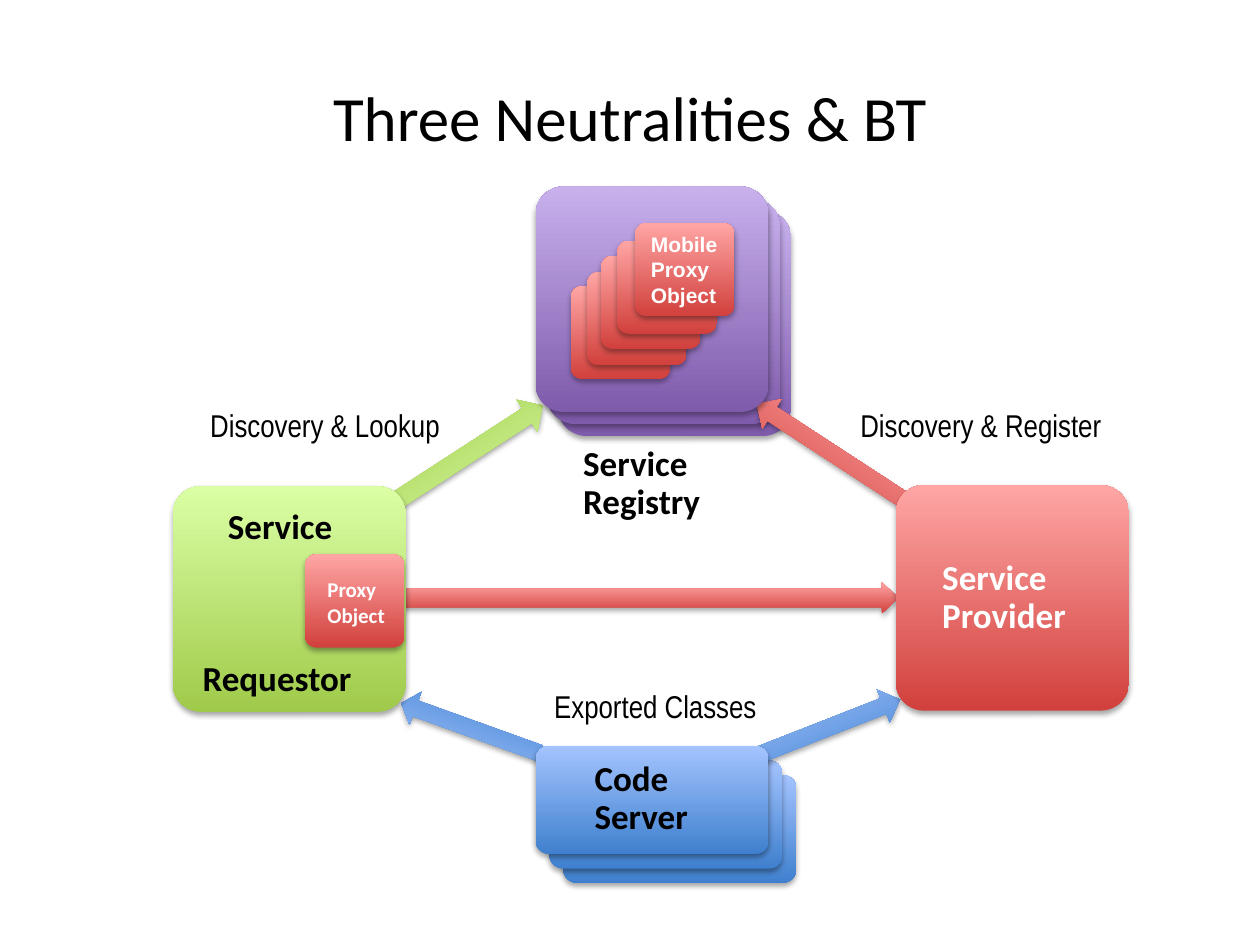
import pptx
import pptx.util
import pptx.dml.color
import pptx.enum.shapes
import pptx.enum.text
import pptx.oxml
import pptx.oxml.ns
from dataclasses import dataclass

Inches = pptx.util.Inches
SHAPES = pptx.enum.shapes.MSO_SHAPE
ANCHOR = pptx.enum.text.MSO_ANCHOR
ALIGN = pptx.enum.text.PP_ALIGN
AUTO_SIZE = pptx.enum.text.MSO_AUTO_SIZE


@dataclass(frozen=True)
class Theme:
    # Gradients run from the bottom colour to the top colour
    red: tuple = ("D1403C", "FFA6A5")
    purple: tuple = ("7F5BAB", "C8B0ED")
    blue: tuple = ("3F80CE", "A4C4FF")
    green: tuple = ("A0CA4A", "DAFFA5")
    black: str = "000000"
    white: str = "FFFFFF"
    body_font: str = "Calibri"
    label_font: str = "Arial Narrow"
    proxy_font: str = "Arial"
    title_size: int = 36
    node_size: int = 20
    label_size: int = 18
    proxy_size: int = 12


THEME = Theme()
NODE_SIZE = (1.85, 1.79)
SERVER_SIZE = (1.85, 0.86)
PROXY_SIZE = (0.79, 0.74)

SHADOW_XML = (
    '<a:effectLst %s><a:outerShdw blurRad="40000" dist="23000" dir="5400000" '
    'rotWithShape="0"><a:srgbClr val="000000"><a:alpha val="35000"/></a:srgbClr>'
    '</a:outerShdw></a:effectLst>' % pptx.oxml.ns.nsdecls("a")
)


def write_text(shape, lines, size=THEME.node_size, font=THEME.body_font,
               color=THEME.black, bold=False, align=ALIGN.LEFT,
               anchor=ANCHOR.TOP, wrap=False, spacing=None):
    """Fill a shape with one paragraph for each line."""
    frame = shape.text_frame
    frame.word_wrap = wrap
    frame.vertical_anchor = anchor
    for index, line in enumerate(lines):
        paragraph = frame.paragraphs[0] if index == 0 else frame.add_paragraph()
        paragraph.text = line
        paragraph.alignment = align
        if spacing:
            paragraph.line_spacing = spacing
        for run in paragraph.runs:
            run.font.size = pptx.util.Pt(size)
            run.font.name = font
            run.font.bold = bold
            run.font.color.rgb = pptx.dml.color.RGBColor.from_string(color)


def add_text(slide, box, lines, **text_format):
    shape = slide.shapes.add_textbox(*map(Inches, box))
    write_text(shape, lines, **text_format)
    if not text_format.get("wrap"):
        shape.text_frame.auto_size = AUTO_SIZE.SHAPE_TO_FIT_TEXT


def add_node_name(slide, box, lines, color=THEME.black):
    add_text(slide, box, lines, color=color, bold=True, spacing=0.9)


def add_label(slide, box, text):
    add_text(slide, box, [text], size=THEME.label_size, font=THEME.label_font)


def add_gradient_shape(slide, kind, box, colors, adjustments):
    """Add a borderless preset shape with a vertical gradient and soft shadow."""
    shape = slide.shapes.add_shape(kind, *map(Inches, box))
    for index, value in enumerate(adjustments):
        shape.adjustments[index] = value
    shape.fill.gradient()
    shape.fill.gradient_angle = 90
    for stop, color, position in zip(shape.fill.gradient_stops, colors, (0, 1)):
        stop.color.rgb = pptx.dml.color.RGBColor.from_string(color)
        stop.position = position
    shape.line.fill.background()
    shape.element.spPr.append(pptx.oxml.parse_xml(SHADOW_XML))
    return shape


def add_card(slide, left, top, size, colors):
    return add_gradient_shape(slide, SHAPES.ROUNDED_RECTANGLE,
                              (left, top, *size), colors, [0.125])


def add_back_cards(slide, left, top, step, size, colors):
    """Add the two cards that peek out behind a front card."""
    for depth in (2, 1):
        add_card(slide, left + depth * step[0], top + depth * step[1], size, colors)


def add_arrow(slide, box, colors, adjustments, rotation=0, flips=""):
    shape = add_gradient_shape(slide, SHAPES.RIGHT_ARROW, box, colors, adjustments)
    shape.rotation = rotation
    transform = shape.element.spPr.find(pptx.oxml.ns.qn("a:xfrm"))
    for axis in flips:
        transform.set("flip" + axis, "1")


def main():
    presentation = pptx.Presentation()
    presentation.slide_width = Inches(10)
    presentation.slide_height = Inches(7.5)
    slide = presentation.slides.add_slide(presentation.slide_layouts[6])

    # Title
    add_text(slide, (0.5, 0.3, 9, 1.25), ["Three Neutralities & BT"],
             size=THEME.title_size, align=ALIGN.CENTER, anchor=ANCHOR.MIDDLE,
             wrap=True)

    # Call from the proxy to the provider, and the rear cards
    add_arrow(slide, (3.2, 4.62, 3.93, 0.25), THEME.red, (0.583, 0.524))
    add_back_cards(slide, 4.25, 1.48, (0.09, 0.095), NODE_SIZE, THEME.purple)
    add_back_cards(slide, 4.25, 5.92, (0.11, 0.115), SERVER_SIZE, THEME.blue)

    # Diagonal arrows
    add_arrow(slide, (5.89, 3.46, 1.44, 0.28), THEME.red, (0.47, 0.508), 213.1, "V")
    add_arrow(slide, (5.83, 5.66, 1.36, 0.28), THEME.blue, (0.47, 0.508), 158.6, "HV")
    add_arrow(slide, (3.15, 5.64, 1.17, 0.28), THEME.blue, (0.47, 0.429), 19.8, "HV")
    add_arrow(slide, (3.02, 3.45, 1.4, 0.3), THEME.green, (0.47, 0.493), 327, "V")

    # Service requestor with its proxy
    add_card(slide, 1.37, 3.86, NODE_SIZE, THEME.green)
    add_node_name(slide, (1.71, 3.99, 1.19, 0.4), ["Service"])
    add_node_name(slide, (1.51, 5.2, 1.57, 0.4), ["Requestor"])
    add_card(slide, 2.42, 4.4, PROXY_SIZE, THEME.red)
    add_text(slide, (2.5, 4.53, 0.72, 0.5), ["Proxy\vObject"],
             size=THEME.proxy_size, color=THEME.white, bold=True)

    # Service provider
    add_card(slide, 7.11, 3.85, NODE_SIZE, THEME.red)
    add_node_name(slide, (7.38, 4.4, 1.34, 0.71), ["Service", "Provider"], THEME.white)

    # Service registry with a pile of mobile proxies
    add_node_name(slide, (4.53, 3.49, 1.34, 0.71), ["Service", "Registry"])
    add_card(slide, 4.25, 1.48, NODE_SIZE, THEME.purple)
    for left, top in ((4.53, 2.27), (4.66, 2.16), (4.77, 2.03), (4.9, 1.91), (5.04, 1.77)):
        proxy = add_card(slide, left, top, PROXY_SIZE, THEME.red)
    write_text(proxy, ["Mobile", "Proxy", "Object"], size=THEME.proxy_size,
               font=THEME.proxy_font, color=THEME.white, bold=True,
               anchor=ANCHOR.MIDDLE)

    # Code server
    add_card(slide, 4.25, 5.92, SERVER_SIZE, THEME.blue)
    add_node_name(slide, (4.62, 5.99, 1.08, 0.71), ["Code", "Server"])

    # Arrow labels
    add_label(slide, (6.73, 3.17, 2.14, 0.4), "Discovery & Register")
    add_label(slide, (1.57, 3.17, 2.04, 0.4), "Discovery & Lookup")
    add_label(slide, (4.3, 5.4, 1.82, 0.4), "Exported Classes")

    presentation.save("out.pptx")


if __name__ == "__main__":
    main()
